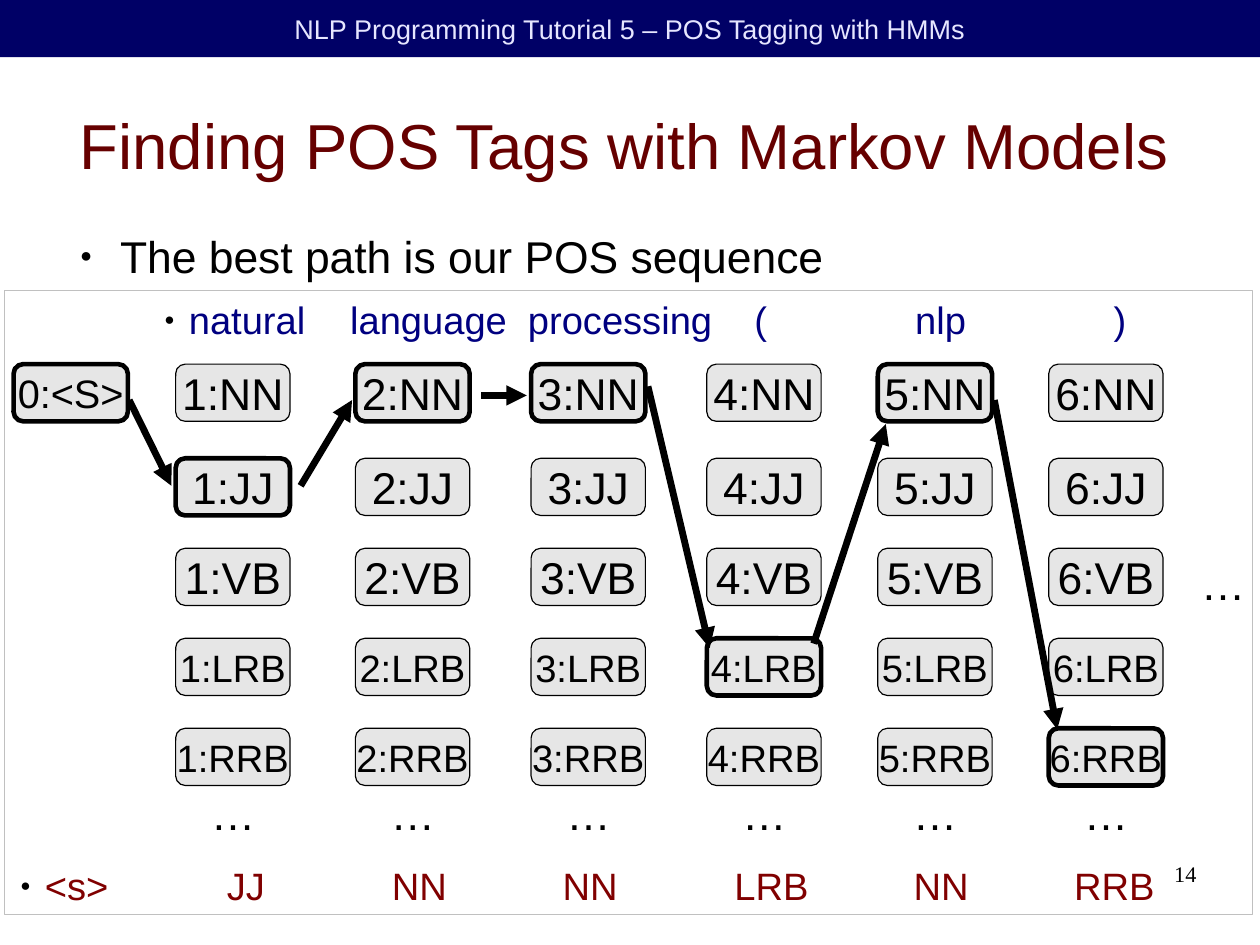
import lxml.etree
import pptx
import pptx.dml.color
import pptx.enum.shapes
import pptx.enum.text
import pptx.oxml.ns
import pptx.util

Pt = pptx.util.Pt
qn = pptx.oxml.ns.qn
KINDS = pptx.enum.shapes.MSO_SHAPE
ALIGN = pptx.enum.text.PP_ALIGN
MIDDLE = pptx.enum.text.MSO_ANCHOR.MIDDLE
TOP = pptx.enum.text.MSO_ANCHOR.TOP
NONE = pptx.enum.text.MSO_AUTO_SIZE.NONE

WIDTH, HEIGHT = 793.75, 595.25
COLS = [110.7, 223.9, 334.6, 445.3, 553, 660.7]
ROWS = [229.4, 288.7, 345.4, 402.1, 458.8]
TAGS = ["NN", "JJ", "VB", "LRB", "RRB"]
BEST = ["JJ", "NN", "NN", "LRB", "NN", "RRB"]
WORDS = ["natural", "language", "processing", "(", "nlp", ")"]
WORD_TABS = [15.4, 117, 229, 371.7, 473, 598]
BEST_TABS = [15.4, 130, 234, 341.5, 449.8, 562.7, 663.8]
ARROWS = [
    (81.4, 252, 108, 306),
    (189.4, 306, 221.8, 252),
    (303.1, 249.1, 331.9, 249.1),
    (408.2, 243.4, 447.1, 408.2),
    (512.6, 405.4, 558, 267.1),
    (626.4, 252, 666, 459.4),
]


def hue(code):
    return pptx.dml.color.RGBColor.from_string(code)


def assign(item, values):
    for name, value in values.items():
        setattr(item, name, value)


def place(shape, left, top, width, height):
    assign(shape, {"left": Pt(left), "top": Pt(top),
                   "width": Pt(width), "height": Pt(height)})


def write(shape, text, size, color="000000", align=ALIGN.LEFT, anchor=TOP,
          inset=(7.2, 3.6), wrap=True, face="Arial"):
    frame = shape.text_frame
    across, down = map(Pt, inset)
    assign(frame, {"word_wrap": wrap, "auto_size": NONE, "vertical_anchor": anchor,
                   "margin_left": across, "margin_right": across,
                   "margin_top": down, "margin_bottom": down})
    para = frame.paragraphs[0]
    assign(para, {"alignment": align, "space_before": Pt(0)})
    run = para.add_run()
    run.text = text
    assign(run.font, {"name": face, "size": Pt(size), "bold": False})
    run.font.color.rgb = hue(color)
    return para


def bullet(para, margin=0, indent=0, tabs=()):
    props = para._p.get_or_add_pPr()
    props.set("marL", str(Pt(margin)))
    props.set("indent", str(Pt(indent)))
    tint = lxml.etree.SubElement(props, qn("a:buClr"))
    lxml.etree.SubElement(tint, qn("a:srgbClr"), val="000000")
    lxml.etree.SubElement(props, qn("a:buSzPct"), val="45000")
    lxml.etree.SubElement(props, qn("a:buFont"), typeface="Arial")
    lxml.etree.SubElement(props, qn("a:buChar"), char="●")
    if tabs:
        stops = lxml.etree.SubElement(props, qn("a:tabLst"))
        for stop in tabs:
            lxml.etree.SubElement(stops, qn("a:tab"), pos=str(Pt(stop)), algn="l")


def label(slide, box, text, size, **style):
    return write(slide.shapes.add_textbox(*map(Pt, box)), text, size, **style)


def series(slide, box, words, color, tabs):
    text = "".join("\t" + word for word in words)
    bullet(label(slide, box, text, 24, color=color), tabs=tabs)


def block(slide, kind, box, fill=None, line=None, width=0):
    shape = slide.shapes.add_shape(kind, *map(Pt, box))
    shape.shadow.inherit = False
    if fill:
        shape.fill.solid()
        shape.fill.fore_color.rgb = hue(fill)
    else:
        shape.fill.background()
    if line:
        shape.line.color.rgb = hue(line)
        shape.line.width = Pt(width)
    else:
        shape.line.fill.background()
    return shape


def node(slide, left, top, text, size, chosen):
    shape = block(slide, KINDS.ROUNDED_RECTANGLE, (left, top, 72, 36),
                  "E6E6E6", "000000", 2.89 if chosen else 0)
    write(shape, text, size, align=ALIGN.CENTER, anchor=MIDDLE, wrap=False)


def dots(slide, left, top):
    label(slide, (left, top, 42.4, 38), "…", 28, wrap=False)


def arrow(slide, ends):
    link = slide.shapes.add_connector(
        pptx.enum.shapes.MSO_CONNECTOR.STRAIGHT, *map(Pt, ends))
    link.line.color.rgb = hue("000000")
    link.line.width = Pt(4.31)
    props = link.element.spPr
    lxml.etree.SubElement(props.find(qn("a:ln")), qn("a:tailEnd"), type="triangle")
    lxml.etree.SubElement(props, qn("a:effectLst"))


def main():
    deck = pptx.Presentation()
    assign(deck, {"slide_width": Pt(WIDTH), "slide_height": Pt(HEIGHT)})
    slide = deck.slides.add_slide(deck.slide_layouts[1])
    title, body = slide.placeholders
    place(title, 36, 45, 714.2, 91.4)
    write(title, "Finding POS Tags with Markov Models", 40, "660000",
          ALIGN.CENTER, MIDDLE, (0, 0))
    place(body, 41.8, 144, 714.2, 31)
    bullet(write(body, "The best path is our POS sequence", 28, inset=(0, 0)),
           33.8, -25.2)

    bar = block(slide, KINDS.RECTANGLE, (0, 0, WIDTH, 36), "000066")
    write(bar, "NLP Programming Tutorial 5 – POS Tagging with HMMs", 17, "E6E6FF",
          ALIGN.CENTER, MIDDLE)

    series(slide, (96.5, 183.3, 673.2, 33.8), WORDS, "000080", WORD_TABS)
    for step, (left, best) in enumerate(zip(COLS, BEST), 1):
        for top, tag in zip(ROWS, TAGS):
            node(slide, left, top, f"{step}:{tag}", 28 if len(tag) == 2 else 24,
                 tag == best)
        dots(slide, left + 15.1, 491.8)
    node(slide, 8.6, ROWS[0], "0:<S>", 25, True)
    dots(slide, 749.5, 347)
    for ends in ARROWS:
        arrow(slide, ends)
    series(slide, (5.8, 540, 750.2, 33.8), ["<s>"] + BEST, "800000", BEST_TABS)
    block(slide, KINDS.RECTANGLE, (2.9, 182.9, 786.2, 393.1), line="C0C0C0")
    label(slide, (568.8, 542.2, 185, 41), "14", 14, align=ALIGN.RIGHT,
          inset=(0, 0), face="Times New Roman")
    deck.save("out.pptx")


if __name__ == "__main__":
    main()
